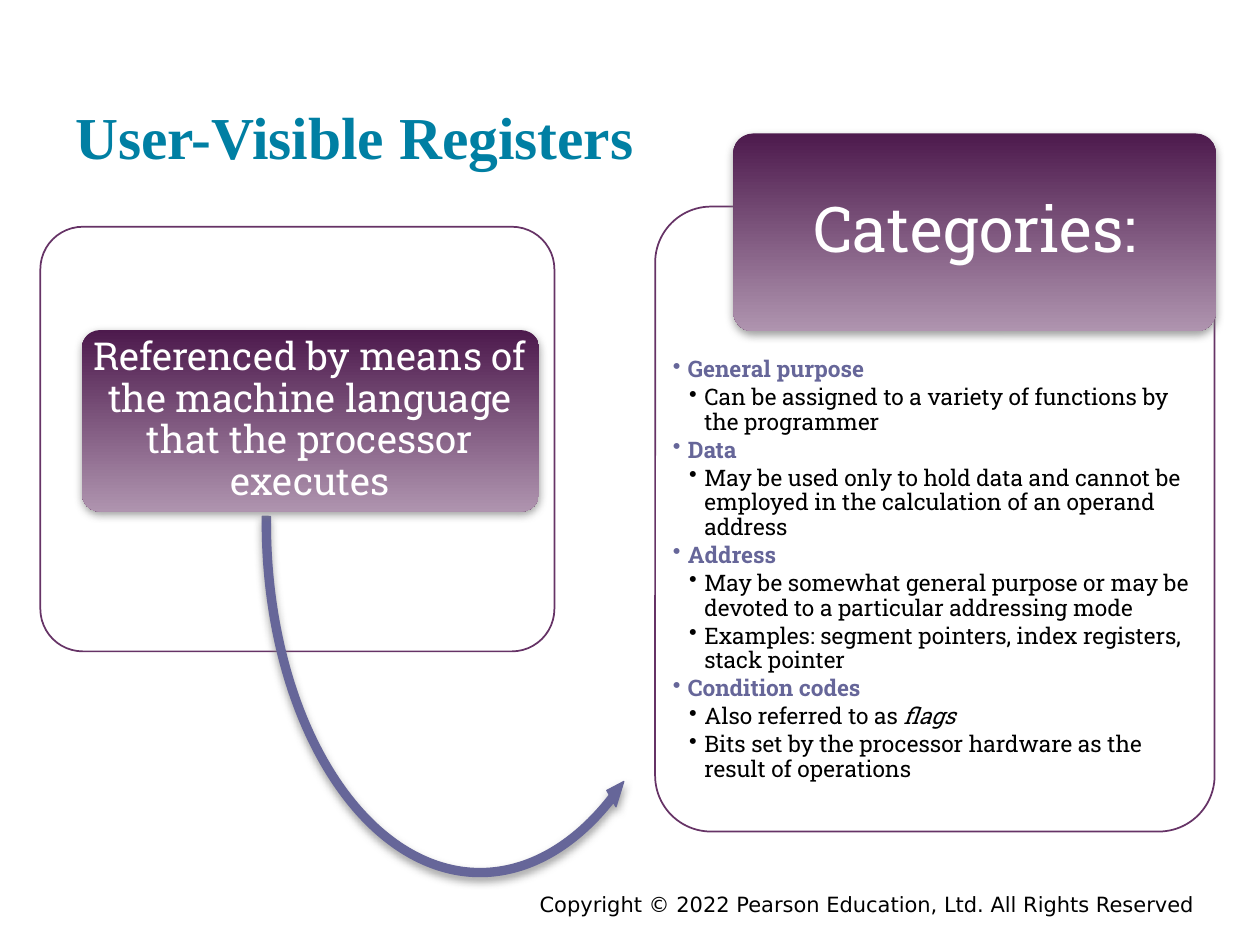
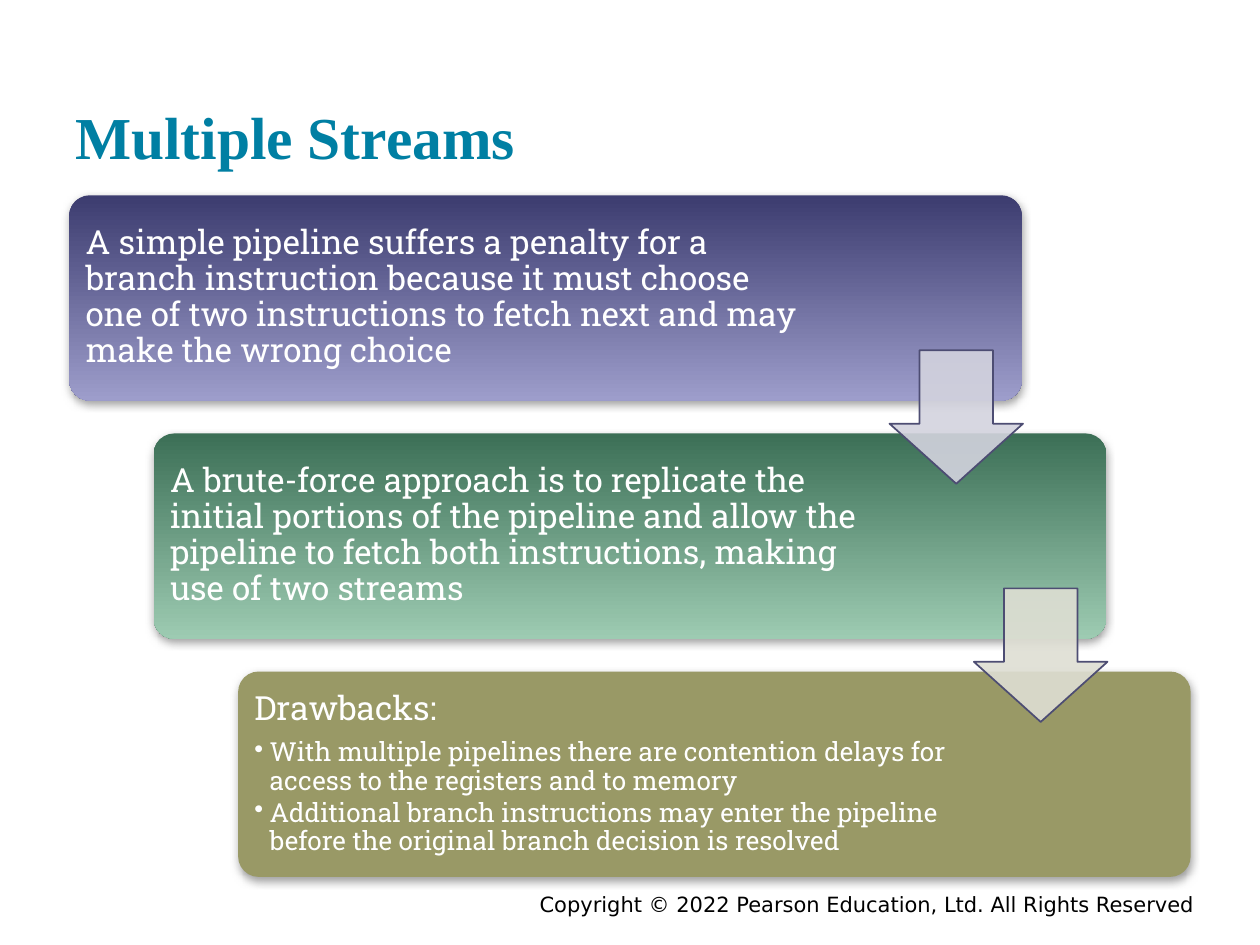
from lxml.etree import SubElement
from pptx import Presentation
from pptx.dml.color import RGBColor
from pptx.enum.shapes import MSO_SHAPE
from pptx.enum.text import MSO_ANCHOR, PP_ALIGN
from pptx.oxml.ns import qn
from pptx.util import Inches, Pt

# Shared colours and fonts
TEAL = RGBColor(0x00, 0x7F, 0xA3)
BLACK = RGBColor(0x00, 0x00, 0x00)
WHITE = RGBColor(0xFF, 0xFF, 0xFF)
PLUM = RGBColor(0x66, 0x33, 0x66)
INDIGO = RGBColor(0x66, 0x66, 0x99)
DARK_INDIGO = RGBColor(0x4D, 0x4D, 0x73)
OLIVE = RGBColor(0x99, 0x99, 0x66)
PALE_INDIGO = RGBColor(0xD3, 0xD3, 0xDE)
PALE_OLIVE = RGBColor(0xDE, 0xDE, 0xD3)
PLUM_FADE = (RGBColor(0x4D, 0x1A, 0x4D), RGBColor(0xAF, 0x94, 0xAF))
INDIGO_FADE = (RGBColor(0x3C, 0x3C, 0x6F), RGBColor(0x9D, 0x9D, 0xCB))
GREEN_FADE = (RGBColor(0x3C, 0x6F, 0x56), RGBColor(0x9D, 0xCB, 0xB2))
TITLE_FONT, BODY_FONT, FOOTER_FONT = "Times New Roman", "Roboto Slab", "DejaVu Sans"

# Content
FOOTER = "Copyright © 2022 Pearson Education, Ltd. All Rights Reserved"
REFERENCE = "Referenced by means of the machine language that the processor executes"
CATEGORIES = [
    ("General purpose", ["Can be assigned to a variety of functions by the programmer"]),
    ("Data", ["May be used only to hold data and cannot be employed in the "
              "calculation of an operand address"]),
    ("Address", ["May be somewhat general purpose or may be devoted to a particular "
                 "addressing mode",
                 "Examples: segment pointers, index registers, stack pointer"]),
    ("Condition codes", ["Also referred to as flags",
                         "Bits set by the processor hardware as the result of operations"]),
]
ITALIC_ENDING = "flags"
# Each step: fill, text width, statement, points below it
STREAM_STEPS = [
    (INDIGO_FADE, 5.81,
     "A simple pipeline suffers a penalty for a branch instruction because it must "
     "choose one of two instructions to fetch next and may make the wrong choice", []),
    (GREEN_FADE, 5.74,
     "A brute-force approach is to replicate the initial portions of the pipeline and "
     "allow the pipeline to fetch both instructions, making use of two streams", []),
    (OLIVE, 5.74, "Drawbacks:",
     ["With multiple pipelines there are contention delays for access to the registers "
      "and to memory",
      "Additional branch instructions may enter the pipeline before the original branch "
      "decision is resolved"]),
]
STEP_ARROW_FILLS = [PALE_INDIGO, PALE_OLIVE]


def add_shape(slide, kind, place, fill, line=None, weight=1, opacity=100, adjust=(0.1,)):
    """Preset shape with a plain colour or a top-to-bottom fade."""
    shape = slide.shapes.add_shape(kind, *map(Inches, place))
    shape.shadow.inherit = False
    for index, value in enumerate(adjust):
        shape.adjustments[index] = value
    if isinstance(fill, RGBColor):
        shape.fill.solid()
        shape.fill.fore_color.rgb = fill
    else:
        shape.fill.gradient()
        shape.fill.gradient_angle = 270
        for stop, colour in zip(shape.fill.gradient_stops, fill):
            stop.color.rgb = colour
    if opacity < 100:
        colour_node = shape.element.spPr.find(qn("a:solidFill"))[0]
        SubElement(colour_node, qn("a:alpha"), val=str(opacity * 1000))
    if line is None:
        shape.line.fill.background()
    else:
        shape.line.color.rgb = line
        shape.line.width = Pt(weight)
    return shape


def add_shadow(shape):
    effects = shape.element.spPr.find(qn("a:effectLst"))
    shadow = SubElement(effects, qn("a:outerShdw"), blurRad=str(Pt(5)), dist=str(Pt(2)),
                        dir="5400000", algn="ctr", rotWithShape="0")
    colour = SubElement(shadow, qn("a:srgbClr"), val="808080")
    SubElement(colour, qn("a:alpha"), val="75000")


def add_card(slide, place, fill):
    add_shadow(add_shape(slide, MSO_SHAPE.ROUNDED_RECTANGLE, place, fill))


def add_panel(slide, place):
    add_shape(slide, MSO_SHAPE.ROUNDED_RECTANGLE, place, WHITE, PLUM, opacity=90)


def add_box(slide, place, side, edge, anchor=MSO_ANCHOR.MIDDLE):
    frame = slide.shapes.add_textbox(*map(Inches, place)).text_frame
    frame.word_wrap = True
    frame.vertical_anchor = anchor
    frame.margin_left = frame.margin_right = Inches(side)
    frame.margin_top = frame.margin_bottom = Inches(edge)
    return frame


def write(frame, text, size, colour, font=BODY_FONT, bold=False, align=PP_ALIGN.LEFT):
    """Fill the first empty paragraph of the frame, or add one."""
    para = frame.paragraphs[0] if not frame.text else frame.add_paragraph()
    para.text = text
    para.alignment = align
    for span in para.runs:
        span.font.size, span.font.name = Pt(size), font
        span.font.bold, span.font.color.rgb = bold, colour
    return para


def write_body(frame, text, size, colour=WHITE, bold=False, align=PP_ALIGN.LEFT,
               after=0.35, bullet_indent=None):
    """Body paragraph; the gap after it is a share of the text size."""
    para = write(frame, text, size, colour, bold=bold, align=align)
    para.line_spacing = 0.9
    para.space_after = Pt(round(size * after, 2))
    if bullet_indent:
        properties = para._p.get_or_add_pPr()
        properties.set("marL", str(Inches(bullet_indent)))
        properties.set("indent", str(-Inches(0.12)))
        SubElement(properties, qn("a:buChar"), char="•")
    return para


def add_slide(deck, title):
    slide = deck.slides.add_slide(deck.slide_layouts[6])
    footer = add_box(slide, (1.75, 7.03, 7.83, 0.22), 0.1, 0.05, MSO_ANCHOR.TOP)
    write(footer, FOOTER, 12, BLACK, FOOTER_FONT, align=PP_ALIGN.RIGHT)
    heading = add_box(slide, (0.5, 0.21, 9, 1.2), 0.1, 0.05, MSO_ANCHOR.BOTTOM)
    write(heading, title, 34, TEAL, TITLE_FONT, bold=True)
    return slide


def build_registers(deck):
    slide = add_slide(deck, "User-Visible Registers")

    # Left panel, curved arrow and statement
    add_panel(slide, (0.32, 1.8, 4.08, 3.37))
    arrow = add_shape(slide, MSO_SHAPE.LEFT_CIRCULAR_ARROW, (2.04, 1.3, 3.54, 5.7), INDIGO,
                      INDIGO, 0.75, adjust=(0.018, 2.16, 38.717, 109.047, 0.021))
    add_shadow(arrow)
    add_card(slide, (0.65, 2.62, 3.63, 1.44), PLUM_FADE)
    statement = add_box(slide, (0.69, 2.66, 3.54, 1.36), 0.05, 0.03)
    write_body(statement, REFERENCE, 22, align=PP_ALIGN.CENTER)

    # Right panel with the category list
    add_panel(slide, (5.2, 1.64, 4.44, 4.96))
    listing = add_box(slide, (5.31, 2.81, 4.21, 3.67), 0.03, 0.03, MSO_ANCHOR.TOP)
    for category, details in CATEGORIES:
        write_body(listing, category, 13, INDIGO, bold=True, after=0.15, bullet_indent=0.12)
        for detail in details:
            plain = detail.removesuffix(ITALIC_ENDING)
            para = write_body(listing, plain, 13, BLACK, after=0.15, bullet_indent=0.25)
            if plain != detail:
                span = para.add_run()
                span.text = ITALIC_ENDING
                span.font.size, span.font.name = Pt(13), BODY_FONT
                span.font.italic, span.font.color.rgb = True, BLACK

    # Category heading
    add_card(slide, (5.82, 1.06, 3.83, 1.57), PLUM_FADE)
    heading = add_box(slide, (5.87, 1.1, 3.74, 1.48), 0.07, 0.05)
    write_body(heading, "Categories:", 36, align=PP_ALIGN.CENTER)


def build_streams(deck):
    slide = add_slide(deck, "Multiple Streams")
    corners = [(0.55 + 0.67 * step, 1.55 + 1.89 * step) for step in range(len(STREAM_STEPS))]

    # Staircase of cards
    for (left, top), (fill, text_width, statement, points) in zip(corners, STREAM_STEPS):
        add_card(slide, (left, top, 7.56, 1.63), fill)
        frame = add_box(slide, (left + 0.05, top + 0.05, text_width, 1.53), 0.08, 0.08)
        write_body(frame, statement, 19)
        for point in points:
            write_body(frame, point, 15, after=0.15, bullet_indent=0.12)

    # Arrows from each card to the next
    for (left, top), fill in zip(corners, STEP_ARROW_FILLS):
        add_shape(slide, MSO_SHAPE.DOWN_ARROW, (left + 6.51, top + 1.23, 1.06, 1.06), fill,
                  DARK_INDIGO, opacity=90, adjust=(0.55, 0.45))


def main():
    deck = Presentation()
    deck.slide_width, deck.slide_height = Inches(10), Inches(7.5)
    build_registers(deck)
    build_streams(deck)
    deck.save("out.pptx")


if __name__ == "__main__":
    main()
